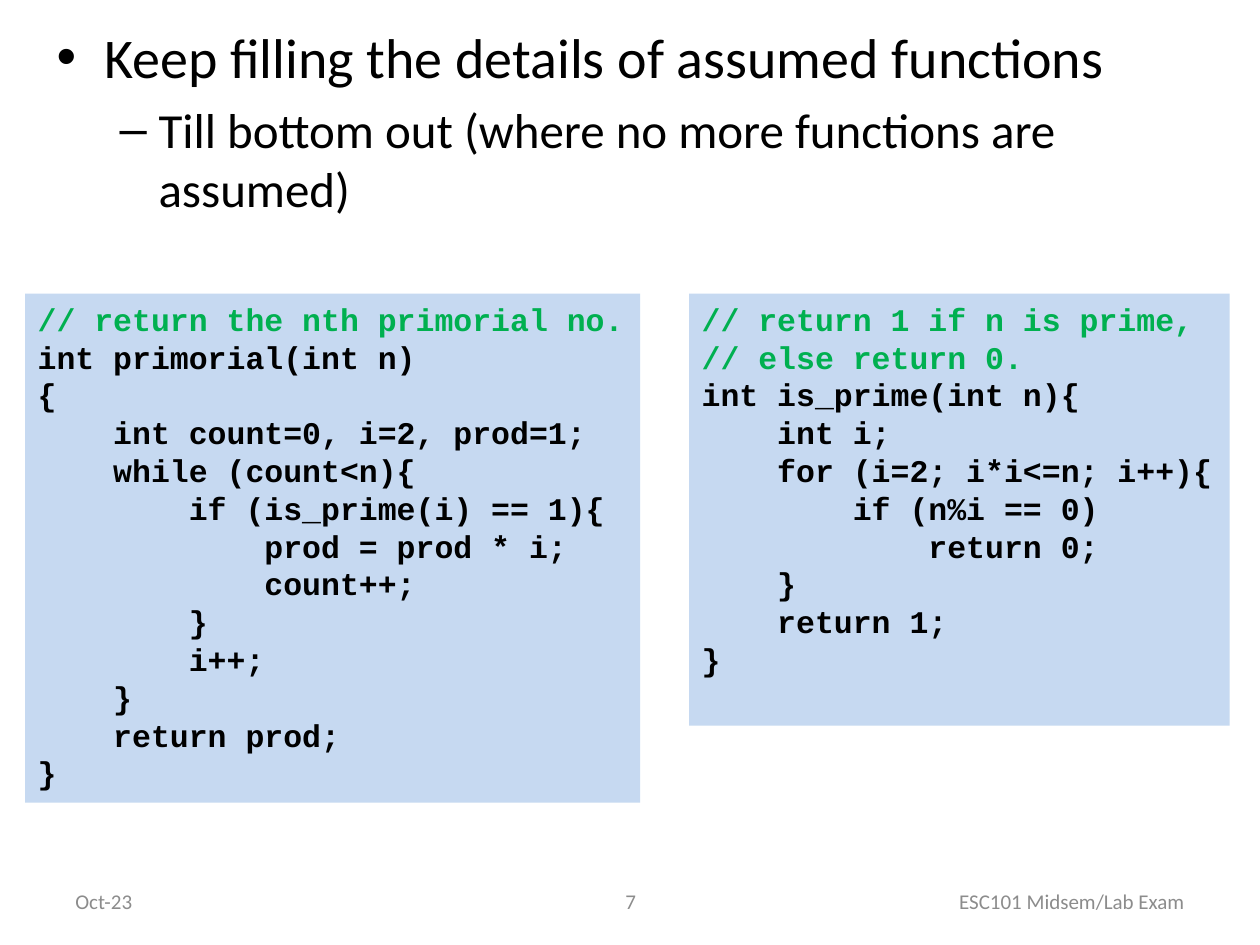
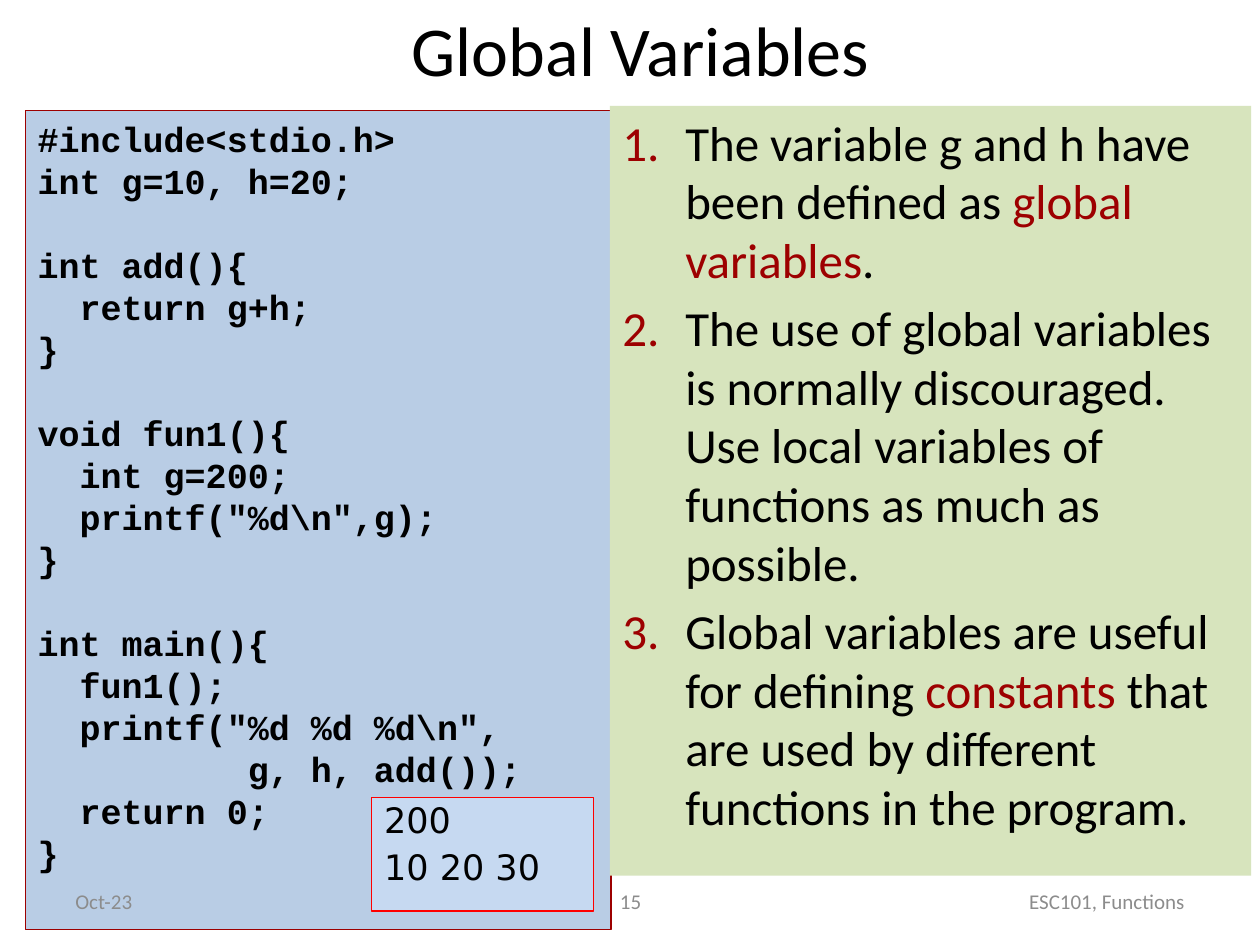
from lxml.etree import SubElement
from pptx import Presentation
from pptx.dml.color import RGBColor
from pptx.enum.shapes import MSO_SHAPE
from pptx.enum.text import MSO_ANCHOR, PP_ALIGN
from pptx.oxml.ns import qn
from pptx.util import Inches, Pt

COLORS = {
    "text": "000000", "footer": "8C8C8C", "comment": "00B050",
    "accent": "9D0000", "output_line": "FF0000", "light_blue": "C6D9F1",
    "blue": "B9CDE5", "green": "D7E4BD",
}

# Shared text styles
BODY = {"name": "Calibri", "size": Pt(28)}
LEAD = {"name": "Calibri", "size": Pt(32)}
TITLE = {"name": "Calibri", "size": Pt(40)}
FOOTER = {"name": "Calibri", "size": Pt(12)}
SMALL_CODE = {"name": "Courier New", "size": Pt(18), "bold": True}
LARGE_CODE = {"name": "Courier New", "size": Pt(20), "bold": True}
OUTPUT = {"name": "DejaVu Sans", "size": Pt(20)}

# Footer places: left, width, alignment
FOOTER_TOP, FOOTER_HEIGHT = 6.95, 0.4
FOOTER_PLACES = [
    (0.5, 2.33, PP_ALIGN.LEFT),
    (3.42, 3.17, PP_ALIGN.CENTER),
    (7.17, 2.33, PP_ALIGN.RIGHT),
]

# Slide content
REFINEMENT_FOOTER = ["Oct-23", "7", "ESC101 Midsem/Lab Exam"]
GLOBALS_FOOTER = ["Oct-23", "15", "ESC101, Functions"]

# Bullet, indent, hanging, style, text
REFINEMENT_POINTS = [
    ("•", 0.38, 0.38, LEAD, "Keep filling the details of assumed functions"),
    ("–", 0.81, 0.31, BODY,
     "Till bottom out (where no more functions are assumed)"),
]

PRIMORIAL_CODE = """// return the nth primorial no.
int primorial(int n)
{
    int count=0, i=2, prod=1;
    while (count<n){
        if (is_prime(i) == 1){
            prod = prod * i;
            count++;
        }
        i++;
    }
    return prod;
}"""

IS_PRIME_CODE = """// return 1 if n is prime,
// else return 0.
int is_prime(int n){
    int i;
    for (i=2; i*i<=n; i++){
        if (n%i == 0)
            return 0;
    }
    return 1;
}"""

GLOBALS_CODE = r"""#include<stdio.h>
int g=10, h=20;

int add(){
  return g+h;
}

void fun1(){
  int g=200;
  printf("%d\n",g);
}

int main(){
  fun1();
  printf("%d %d %d\n",
          g, h, add());
  return 0;
}"""

PROGRAM_OUTPUT = ["200", "10 20 30"]

# Each point is a list of (text, colour) spans
GLOBALS_POINTS = [
    [("The variable g and h have been defined as ", "text"),
     ("global variables", "accent"), (".", "text")],
    [("The use of global variables is normally discouraged. "
      "Use local variables of functions as much as possible.", "text")],
    [("Global variables are useful for defining ", "text"),
     ("constants", "accent"),
     (" that are used by different functions in the program.", "text")],
]


def color(key):
    return RGBColor.from_string(COLORS[key])


def add_box(page, place, fill=None, line=None, anchor=MSO_ANCHOR.TOP, wrap=True):
    """Add a text box, or a filled panel when a fill is given."""
    place = [Inches(length) for length in place]
    if fill:
        box = page.shapes.add_shape(MSO_SHAPE.RECTANGLE, *place)
        box.shadow.inherit = False
        box.fill.solid()
        box.fill.fore_color.rgb = color(fill)
        if line:
            box.line.color.rgb = color(line)
            box.line.width = Pt(0.75)
        else:
            box.line.fill.background()
    else:
        box = page.shapes.add_textbox(*place)
    box.text_frame.word_wrap = wrap
    box.text_frame.vertical_anchor = anchor
    return box


def set_bullet(para, indent, hanging, character=None):
    """Give a paragraph a character bullet, or a coloured number."""
    properties = para._p.get_or_add_pPr()
    properties.set("marL", str(Inches(indent)))
    properties.set("indent", str(-Inches(hanging)))
    if character:
        SubElement(properties, qn("a:buFont"), typeface="Arial")
        SubElement(properties, qn("a:buChar"), char=character)
    else:
        bullet_color = SubElement(properties, qn("a:buClr"))
        SubElement(bullet_color, qn("a:srgbClr"), val=COLORS["accent"])
        SubElement(properties, qn("a:buFont"), typeface="+mj-lt")
        SubElement(properties, qn("a:buAutoNum"), type="arabicPeriod")


def add_para(box, spans, style, bullet=None, align=PP_ALIGN.LEFT, before=0,
             line_spacing=None):
    """Write spans into the first free paragraph of a box."""
    frame = box.text_frame
    is_first = not frame.text
    para = frame.paragraphs[0] if is_first else frame.add_paragraph()
    if bullet:
        set_bullet(para, *bullet)
    layout = {"alignment": align, "line_spacing": line_spacing,
              "space_before": Pt(0 if is_first else before)}
    for name, value in layout.items():
        setattr(para, name, value)
    for text, color_key in spans:
        span = para.add_run()
        span.text = text
        for name, value in style.items():
            setattr(span.font, name, value)
        span.font.color.rgb = color(color_key)


def add_code(page, place, code, style, fill, line=None):
    """Add a code panel; an empty code line becomes space before the next."""
    box = add_box(page, place, fill, line)
    gap = 0
    for code_line in code.splitlines():
        if not code_line:
            gap = style["size"].pt * 1.2
            continue
        key = "comment" if code_line.startswith("//") else "text"
        add_para(box, [(code_line, key)], style, before=gap)
        gap = 0


def add_footer(page, texts):
    for text, (left, width, align) in zip(texts, FOOTER_PLACES):
        place = (left, FOOTER_TOP, width, FOOTER_HEIGHT)
        box = add_box(page, place, anchor=MSO_ANCHOR.MIDDLE)
        add_para(box, [(text, "footer")], FOOTER, align=align)


def build_refinement(page):
    box = add_box(page, (0.35, 0.13, 9.29, 1.8))
    for character, indent, hanging, style, text in REFINEMENT_POINTS:
        add_para(box, [(text, "text")], style,
                 bullet=(indent, hanging, character), before=5.6)
    add_code(page, (0.2, 2.33, 4.88, 4.04), PRIMORIAL_CODE, SMALL_CODE, "light_blue")
    add_code(page, (5.47, 2.33, 4.29, 3.43), IS_PRIME_CODE, SMALL_CODE, "light_blue")
    add_footer(page, REFINEMENT_FOOTER)


def build_globals(page):
    add_code(page, (0.2, 0.88, 4.65, 6.5), GLOBALS_CODE, LARGE_CODE, "blue", "accent")

    # Numbered points
    panel = add_box(page, (4.84, 0.84, 5.09, 6.11), "green")
    for spans in GLOBALS_POINTS:
        add_para(panel, spans, BODY, bullet=(0.5, 0.5), before=5)

    # Title
    title = add_box(page, (3.17, 0, 4.01, 0.77), wrap=False)
    add_para(title, [("Global Variables", "text")], TITLE)

    # Program output
    output = add_box(page, (2.95, 6.33, 1.76, 0.9), "light_blue", "output_line")
    for text in PROGRAM_OUTPUT:
        add_para(output, [(text, "text")], OUTPUT, before=5, line_spacing=0.9)
    add_footer(page, GLOBALS_FOOTER)


def main():
    deck = Presentation()
    deck.slide_width, deck.slide_height = Inches(10), Inches(7.5)
    for build in (build_refinement, build_globals):
        build(deck.slides.add_slide(deck.slide_layouts[6]))
    deck.save("out.pptx")


if __name__ == "__main__":
    main()
